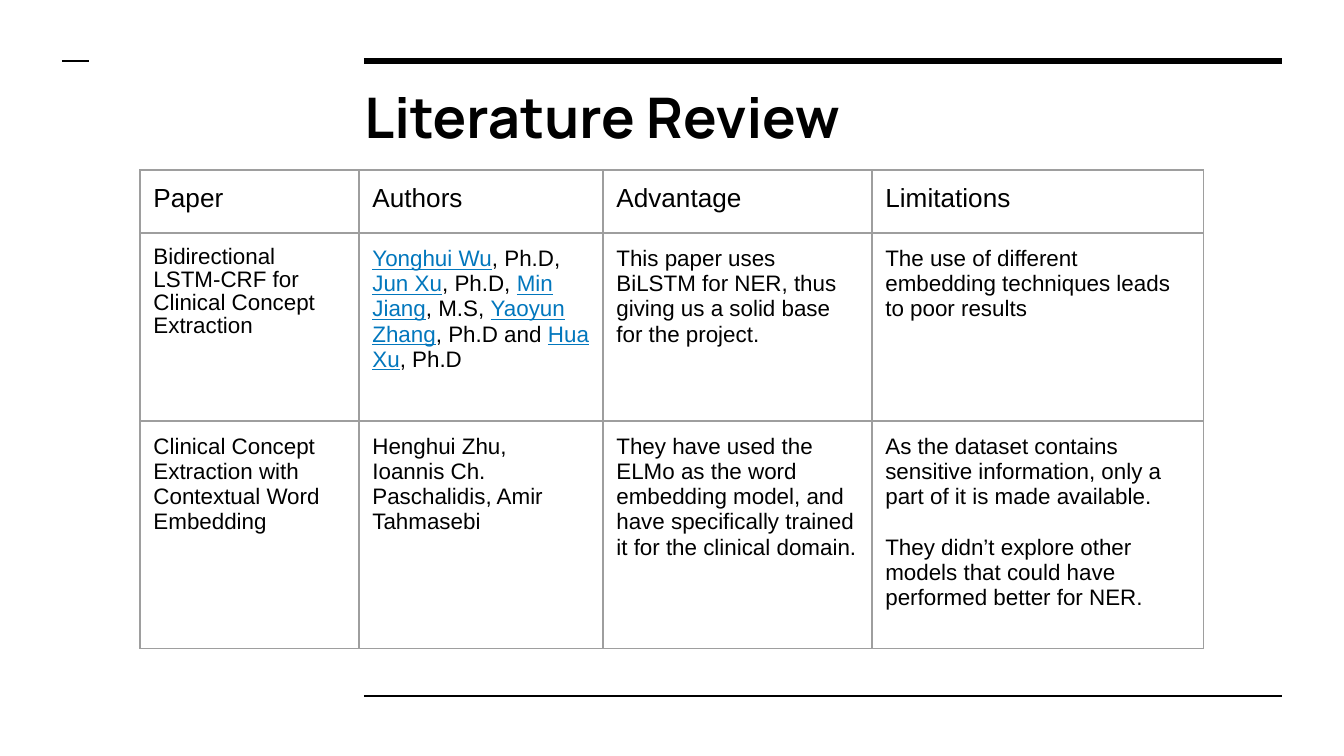
from lxml import etree
from pptx import Presentation
from pptx.dml.color import RGBColor
from pptx.enum.shapes import MSO_CONNECTOR
from pptx.enum.text import MSO_ANCHOR, MSO_AUTO_SIZE, PP_ALIGN
from pptx.oxml.ns import qn
from pptx.util import Emu, Pt

STRAIGHT = MSO_CONNECTOR.STRAIGHT
MIDDLE, TOP = MSO_ANCHOR.MIDDLE, MSO_ANCHOR.TOP
LEFT = PP_ALIGN.LEFT
NO_AUTOFIT = MSO_AUTO_SIZE.NONE

BLACK = RGBColor(0x00, 0x00, 0x00)
LINK_BLUE = RGBColor(0x02, 0x77, 0xBD)
GRID_GRAY = RGBColor(0x9E, 0x9E, 0x9E)

TITLE = "Literature Review"
HEADER = ["Paper", "Authors", "Advantage", "Limitations"]
# Each cell is a list of paragraphs; a paragraph is a list of (text, is_link) runs or a string.
PAPERS = [
    [
        ["Bidirectional LSTM-CRF for Clinical Concept Extraction"],
        [[
            ("Yonghui Wu", True), (", Ph.D, ", False),
            ("Jun Xu", True), (", Ph.D, ", False),
            ("Min Jiang", True), (", M.S, ", False),
            ("Yaoyun Zhang", True), (", Ph.D and ", False),
            ("Hua Xu", True), (", Ph.D", False),
        ]],
        ["This paper uses BiLSTM for NER, thus giving us a solid base for the project."],
        ["The use of different embedding techniques leads to poor results"],
    ],
    [
        ["Clinical Concept Extraction with Contextual Word Embedding"],
        ["Henghui Zhu,", "Ioannis Ch. Paschalidis, Amir Tahmasebi"],
        ["They have used the ELMo as the word embedding model, and have "
         "specifically trained it for the clinical domain."],
        ["As the dataset contains sensitive information, only a part of it is made available.",
         "They didn’t explore other models that could have performed better for NER."],
    ],
]

# Lengths in px
SLIDE_WIDTH, SLIDE_HEIGHT = 1344, 756
RULES = [(364, 1282, 61, 3), (364, 1282, 696, 1.5), (62, 89, 61, 1.5)]  # left, right, y, points
TITLE_BOX = (351, 70, 929, 93)
TABLE_LEFT, TABLE_TOP = 140, 170
COLUMN_WIDTHS = [219, 244, 269, 332]
ROW_HEIGHTS = [63, 188, 228]
INSET = 13.44


def px(value):
    return Emu(round(value * 9144000 / SLIDE_WIDTH))


def add_rule(slide, left, right, y, weight):
    rule = slide.shapes.add_connector(STRAIGHT, px(left), px(y), px(right), px(y))
    rule.line.color.rgb = BLACK
    rule.line.width = Pt(weight)
    etree.SubElement(rule._element.spPr, qn("a:effectLst"))


def set_insets(target):
    target.margin_left = target.margin_right = px(INSET)
    target.margin_top = target.margin_bottom = px(INSET)


def write_paragraph(paragraph, content, size, font="Arial", bold=False):
    runs = [(content, False)] if isinstance(content, str) else content
    paragraph.alignment = LEFT
    for text, is_link in runs:
        run = paragraph.add_run()
        run.text = text
        run.font.name = font
        run.font.size = Pt(size)
        run.font.bold = bold
        run.font.underline = is_link
        run.font.color.rgb = LINK_BLUE if is_link else BLACK


def set_borders(cell):
    properties = cell._tc.get_or_add_tcPr()
    for position, side in enumerate(("lnL", "lnR", "lnT", "lnB")):
        border = etree.Element(qn(f"a:{side}"), w=str(Pt(0.75)))
        fill = etree.SubElement(border, qn("a:solidFill"))
        etree.SubElement(fill, qn("a:srgbClr"), val=str(GRID_GRAY))
        properties.insert(position, border)


def fill_cell(cell, paragraphs, size):
    cell.fill.background()
    cell.vertical_anchor = TOP
    set_insets(cell)
    set_borders(cell)
    frame = cell.text_frame
    for index, content in enumerate(paragraphs):
        paragraph = frame.add_paragraph() if index else frame.paragraphs[0]
        write_paragraph(paragraph, content, size)


def add_title(slide):
    title = slide.shapes.title
    title.left, title.top, title.width, title.height = map(px, TITLE_BOX)
    frame = title.text_frame
    frame.auto_size = NO_AUTOFIT
    frame.word_wrap = True
    frame.vertical_anchor = MIDDLE
    set_insets(frame)
    write_paragraph(frame.paragraphs[0], TITLE, 30, font="Manrope", bold=True)


def add_papers_table(slide):
    rows = [[[label] for label in HEADER]] + PAPERS
    table = slide.shapes.add_table(
        len(rows), len(HEADER), px(TABLE_LEFT), px(TABLE_TOP),
        px(sum(COLUMN_WIDTHS)), px(sum(ROW_HEIGHTS))).table
    table.first_row = table.horz_banding = False
    for column, width in zip(table.columns, COLUMN_WIDTHS):
        column.width = px(width)
    for row, height in zip(table.rows, ROW_HEIGHTS):
        row.height = px(height)
    for row_index, cells in enumerate(rows):
        for column_index, paragraphs in enumerate(cells):
            fill_cell(table.cell(row_index, column_index), paragraphs, 12 if row_index else 14)

    first_paper = table.cell(1, 0).text_frame.paragraphs[0]
    first_paper.line_spacing = 0.91
    first_paper.space_before = Pt(6)
    second_limitation = table.cell(2, 3).text_frame.paragraphs[1]
    second_limitation.space_before = Pt(13.6)


def main():
    presentation = Presentation()
    presentation.slide_width = px(SLIDE_WIDTH)
    presentation.slide_height = px(SLIDE_HEIGHT)
    slide = presentation.slides.add_slide(presentation.slide_layouts[5])
    for rule in RULES:
        add_rule(slide, *rule)
    add_title(slide)
    add_papers_table(slide)
    presentation.save("out.pptx")


if __name__ == "__main__":
    main()
